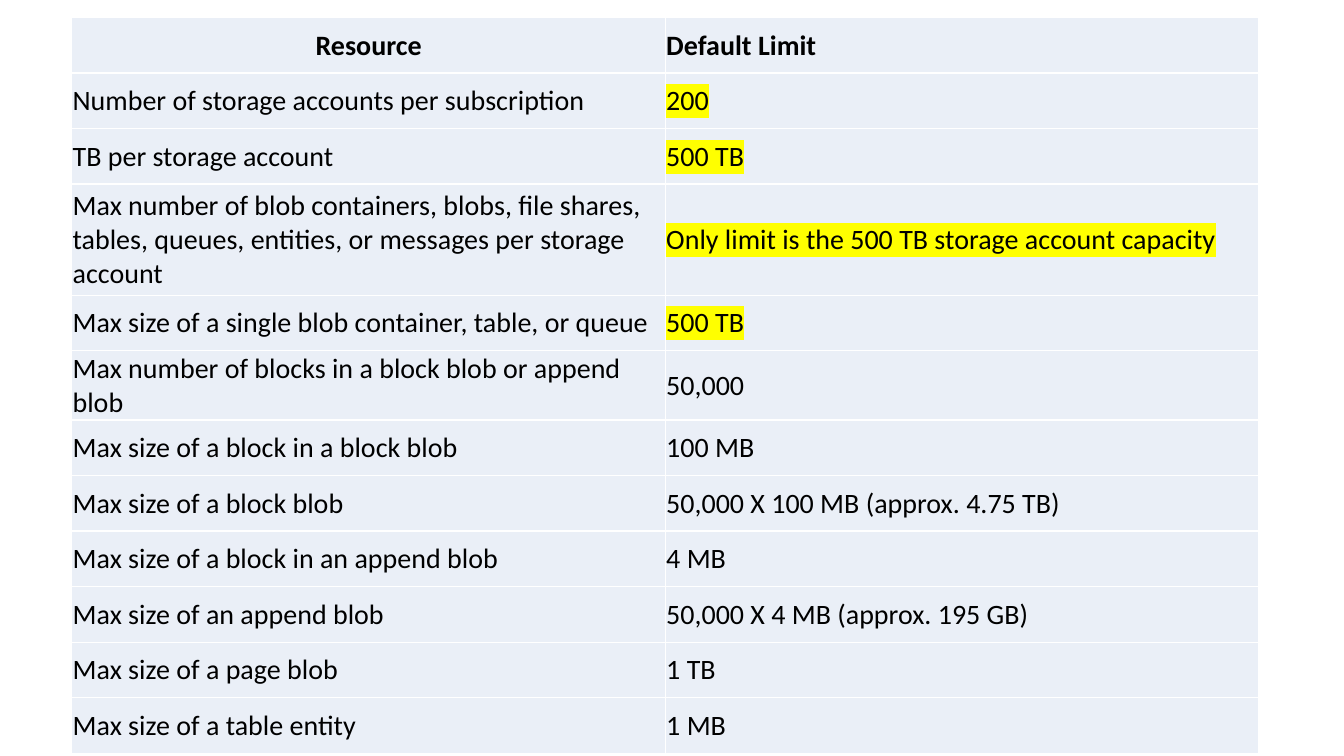
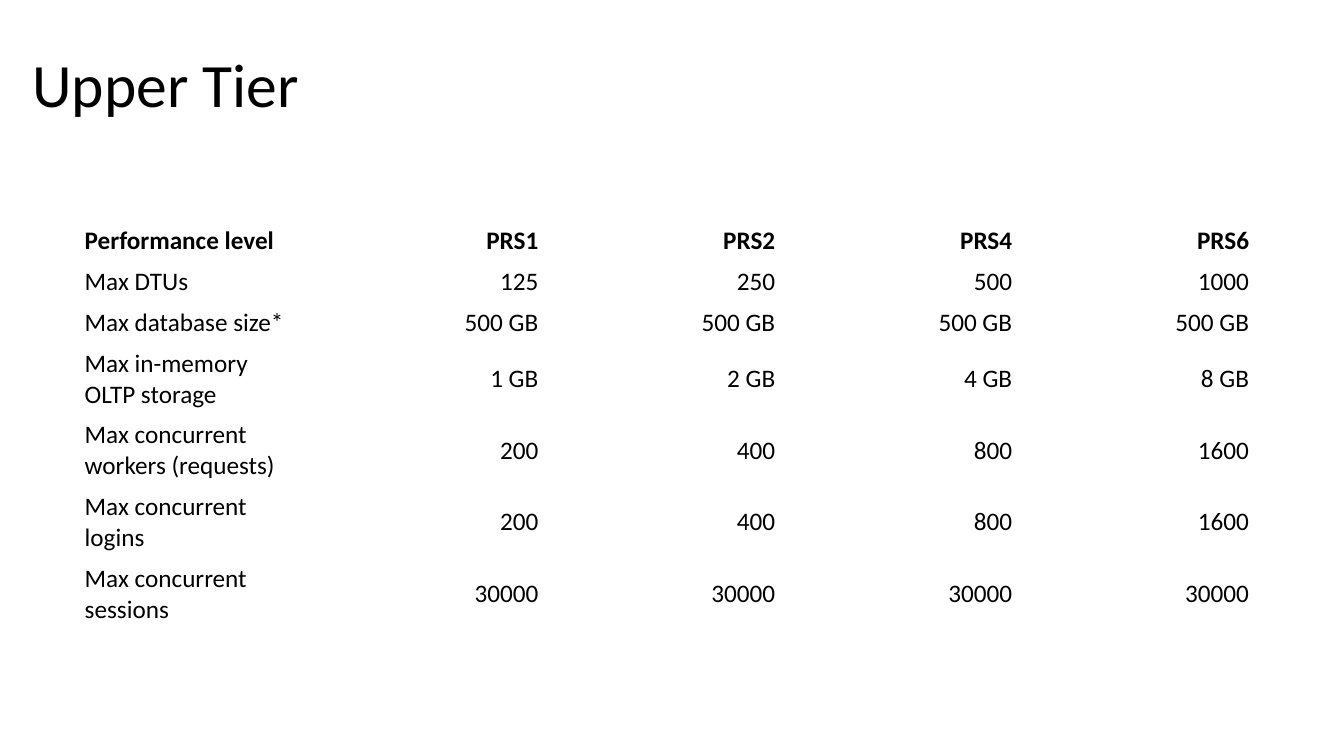
from lxml.etree import SubElement
from pptx import Presentation
from pptx.dml.color import RGBColor
from pptx.enum.text import MSO_ANCHOR, PP_ALIGN
from pptx.oxml import parse_xml
from pptx.oxml.ns import nsdecls, qn
from pptx.util import Cm, Pt

BLACK = RGBColor(0, 0, 0)
WHITE = RGBColor(255, 255, 255)
PALE = RGBColor(0xEA, 0xEF, 0xF7)
YELLOW = RGBColor(255, 255, 0)
FONT = "Calibri"
TITLED, BLANK = 5, 6
LEFT, MID, RIGHT = PP_ALIGN.LEFT, PP_ALIGN.CENTER, PP_ALIGN.RIGHT


class Deck:
    def __init__(self):
        self.file = Presentation()
        self.file.slide_width = Cm(33.87)
        self.file.slide_height = Cm(19.05)
        self.slide = None

    def page(self, layout):
        self.slide = self.file.slides.add_slide(self.file.slide_layouts[layout])

    def run(self, para, text, size, bold=False, mark=None):
        run = para.add_run()
        run.text = text
        font = run.font
        font.size, font.bold = Pt(size), bold
        font.color.rgb = BLACK
        font.name = FONT
        if mark is not None:
            glow = parse_xml(
                f'<a:highlight {nsdecls("a")}><a:srgbClr val="{mark}"/></a:highlight>')
            run._r.rPr.find(qn("a:solidFill")).addnext(glow)

    def title(self, text):
        box = self.slide.shapes.title
        box.left, box.top = Cm(0.56), Cm(0.99)
        box.width, box.height = Cm(32.72), Cm(2.44)
        box.text_frame.vertical_anchor = MSO_ANCHOR.MIDDLE
        para = box.text_frame.paragraphs[0]
        para.alignment, para.line_spacing = LEFT, 0.9
        self.run(para, text, 44)

    def edge(self, cell, color):
        props = cell._tc.get_or_add_tcPr()
        for side in ("lnL", "lnR", "lnT", "lnB"):
            line = SubElement(props, qn("a:" + side), w=str(Pt(1)))
            fill = SubElement(line, qn("a:solidFill"))
            SubElement(fill, qn("a:srgbClr"), val=str(color))

    def cell(self, cell, text, size, align, bold, mark, fill, pads):
        if fill is None:
            cell.fill.background()
        else:
            self.edge(cell, WHITE)
            cell.fill.solid()
            cell.fill.fore_color.rgb = fill
        if pads:
            (cell.margin_left, cell.margin_right,
             cell.margin_top, cell.margin_bottom) = map(Cm, pads)
        cell.vertical_anchor = MSO_ANCHOR.MIDDLE
        para = cell.text_frame.paragraphs[0]
        para.alignment = align
        self.run(para, text, size, bold, mark)

    def table(self, left, top, width, highs, rows, size, align,
              marks=(), fill=None, pads=None):
        count = len(rows[0])
        grid = self.slide.shapes.add_table(
            len(rows), count, Cm(left), Cm(top),
            Cm(width * count), Cm(sum(highs))).table
        grid.first_row = grid.horz_banding = False
        for col in grid.columns:
            col.width = Cm(width)
        for r, (high, row) in enumerate(zip(highs, rows)):
            grid.rows[r].height = Cm(high)
            for c, text in enumerate(row):
                mark = YELLOW if c and r in marks else None
                self.cell(grid.cell(r, c), text, size, align(r, c),
                          r == 0, mark, fill, pads)


LIMITS = [
    ("Resource", "Default Limit"),
    ("Number of storage accounts per subscription", "200"),
    ("TB per storage account", "500 TB"),
    ("Max number of blob containers, blobs, file shares, tables, queues, "
     "entities, or messages per storage account",
     "Only limit is the 500 TB storage account capacity"),
    ("Max size of a single blob container, table, or queue", "500 TB"),
    ("Max number of blocks in a block blob or append blob", "50,000"),
    ("Max size of a block in a block blob", "100 MB"),
    ("Max size of a block blob", "50,000 X 100 MB (approx. 4.75 TB)"),
    ("Max size of a block in an append blob", "4 MB"),
    ("Max size of an append blob", "50,000 X 4 MB (approx. 195 GB)"),
    ("Max size of a page blob", "1 TB"),
    ("Max size of a table entity", "1 MB"),
]
LEVELS = [
    ("Performance level", "PRS1", "PRS2", "PRS4", "PRS6"),
    ("Max DTUs", "125", "250", "500", "1000"),
    ("Max database size*", *["500 GB"] * 4),
    ("Max in-memory OLTP storage", "1 GB", "2 GB", "4 GB", "8 GB"),
    ("Max concurrent workers (requests)", "200", "400", "800", "1600"),
    ("Max concurrent logins", "200", "400", "800", "1600"),
    ("Max concurrent sessions", *["30000"] * 4),
]

deck = Deck()

deck.page(BLANK)
deck.table(1.81, 0.44, 14.96, [1.4] * 3 + [2.8, 1.4, 1.73] + [1.4] * 6,
           LIMITS, 20, lambda r, c: MID if r == c == 0 else LEFT,
           marks=range(1, 5), fill=PALE, pads=(0.02, 0.02, 0.02, 0))

deck.page(TITLED)
deck.title("Upper Tier")
deck.table(1.88, 5.56, 5.97, [1.03] * 3 + [1.8] * 4,
           LEVELS, 18, lambda r, c: RIGHT if c else LEFT)

deck.file.save("out.pptx")
